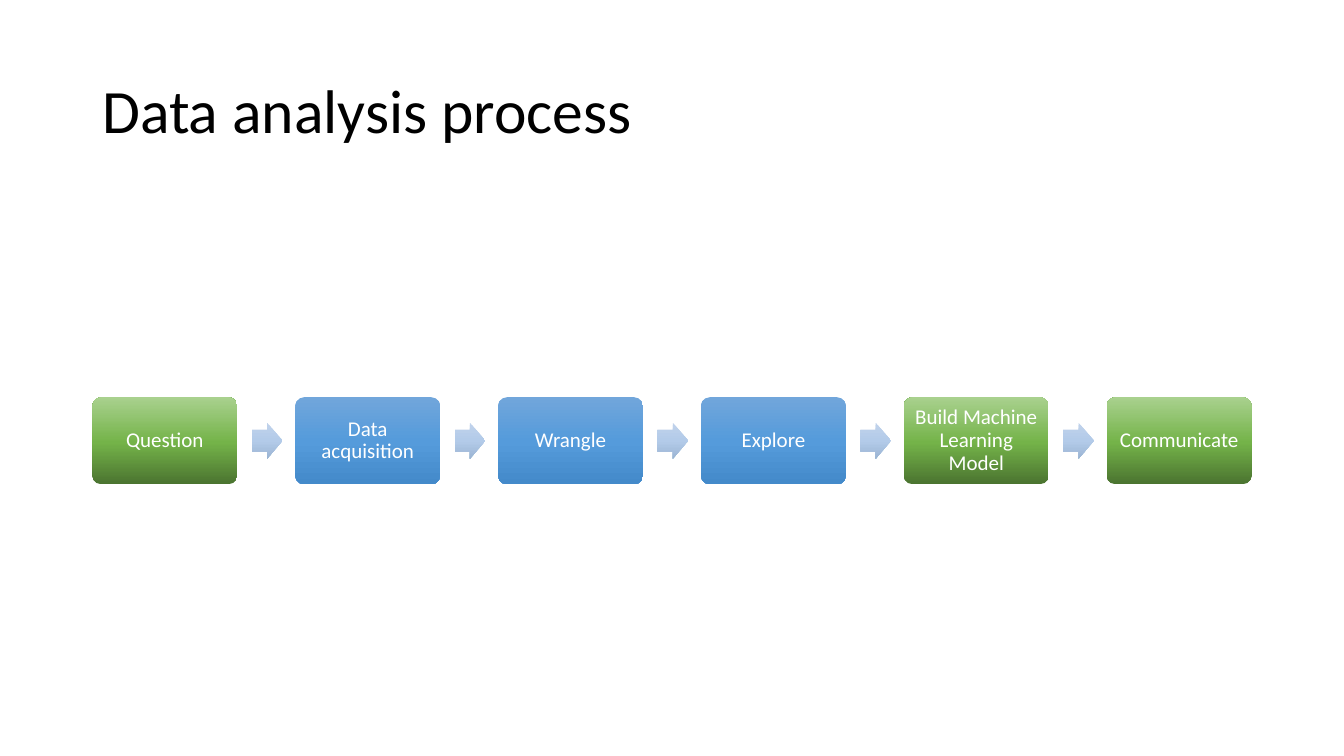
"""Build the data analysis process slide."""
import copy
from dataclasses import dataclass

import pptx
import pptx.dml.color
import pptx.enum.shapes
import pptx.enum.text
import pptx.shapes.autoshape
import pptx.slide
import pptx.util

Pt = pptx.util.Pt
RGBColor = pptx.dml.color.RGBColor
Preset = pptx.enum.shapes.MSO_SHAPE

BLACK = RGBColor(0x00, 0x00, 0x00)
WHITE = RGBColor(0xFF, 0xFF, 0xFF)
DARK_GREEN = RGBColor(0x4B, 0x74, 0x30)
GREEN = RGBColor(0x74, 0xB3, 0x49)
LIGHT_GREEN = RGBColor(0xA9, 0xD1, 0x8E)
LIGHT_BLUE = RGBColor(0x71, 0xA6, 0xDB)
BLUE = RGBColor(0x55, 0x9B, 0xDB)
DARK_BLUE = RGBColor(0x44, 0x8A, 0xCA)
PALE_BLUE = RGBColor(0xC0, 0xD2, 0xEB)
SOFT_BLUE = RGBColor(0xB3, 0xCB, 0xE9)
GREY_BLUE = RGBColor(0x9B, 0xB4, 0xD3)

FONT = "Calibri"
MARGIN = 66
CONTENT_WIDTH = 828
CENTER_Y = 314.8
STEP_WIDTH, STEP_HEIGHT = 103.5, 62.1
ARROW_WIDTH, ARROW_HEIGHT = 21.94, 25.67
ARROW_OFFSET = 113.85
STEP_INSET = 4.5


@dataclass(frozen=True)
class Gradient:
    colors: tuple[RGBColor, RGBColor, RGBColor]
    middle: float
    angle: float


@dataclass(frozen=True)
class Step:
    label: str
    gradient: Gradient


GREEN_FADE = Gradient((DARK_GREEN, GREEN, LIGHT_GREEN), 0.48, 90)
BLUE_FADE = Gradient((LIGHT_BLUE, BLUE, DARK_BLUE), 0.5, 270)
ARROW_FADE = Gradient((PALE_BLUE, SOFT_BLUE, GREY_BLUE), 0.5, 270)

STEPS = (
    Step("Question", GREEN_FADE),
    Step("Data acquisition", BLUE_FADE),
    Step("Wrangle", BLUE_FADE),
    Step("Explore", BLUE_FADE),
    Step("Build Machine Learning Model", GREEN_FADE),
    Step("Communicate", GREEN_FADE),
)


def apply_gradient(shape: pptx.shapes.autoshape.Shape, gradient: Gradient) -> None:
    shape.fill.gradient()
    shape.fill.gradient_angle = gradient.angle
    stop_list = shape.element.spPr.gradFill.gsLst
    stop_list.insert(1, copy.deepcopy(stop_list[0]))
    positions = (0, gradient.middle, 1)
    for stop, color, position in zip(shape.fill.gradient_stops, gradient.colors, positions):
        stop.color.rgb = color
        stop.position = position


def add_block(slide: pptx.slide.Slide, preset: Preset, left: float, width: float,
              height: float, gradient: Gradient) -> pptx.shapes.autoshape.Shape:
    block = slide.shapes.add_shape(
        preset, Pt(left), Pt(CENTER_Y - height / 2), Pt(width), Pt(height))
    block.shadow.inherit = False
    block.line.fill.background()
    apply_gradient(block, gradient)
    return block


def write_text(shape: pptx.shapes.autoshape.Shape, text: str, size: float,
               color: RGBColor, alignment: pptx.enum.text.PP_ALIGN) -> None:
    frame = shape.text_frame
    frame.word_wrap = True
    frame.vertical_anchor = pptx.enum.text.MSO_ANCHOR.MIDDLE
    paragraph = frame.paragraphs[0]
    paragraph.text = text
    paragraph.alignment = alignment
    paragraph.line_spacing = 0.9
    paragraph.font.name = FONT
    paragraph.font.size = Pt(size)
    paragraph.font.color.rgb = color


def add_step(slide: pptx.slide.Slide, step: Step, left: float) -> None:
    box = add_block(slide, Preset.ROUNDED_RECTANGLE, left, STEP_WIDTH, STEP_HEIGHT,
                    step.gradient)
    box.adjustments[0] = 0.1
    frame = box.text_frame
    frame.margin_left = frame.margin_right = Pt(STEP_INSET)
    frame.margin_top = frame.margin_bottom = Pt(STEP_INSET)
    write_text(box, step.label, 15, WHITE, pptx.enum.text.PP_ALIGN.CENTER)


def add_arrow(slide: pptx.slide.Slide, left: float) -> None:
    arrow = add_block(slide, Preset.RIGHT_ARROW, left, ARROW_WIDTH, ARROW_HEIGHT, ARROW_FADE)
    arrow.adjustments[0] = 0.6
    arrow.adjustments[1] = 0.5


def main() -> None:
    presentation = pptx.Presentation()
    presentation.slide_width = Pt(960)
    presentation.slide_height = Pt(540)
    slide = presentation.slides.add_slide(presentation.slide_layouts[6])

    title = slide.shapes.add_textbox(Pt(MARGIN), Pt(28.75), Pt(CONTENT_WIDTH), Pt(104.4))
    write_text(title, "Data analysis process", 44, BLACK, pptx.enum.text.PP_ALIGN.LEFT)

    pitch = (CONTENT_WIDTH - STEP_WIDTH) / (len(STEPS) - 1)
    for index, step in enumerate(STEPS):
        left = MARGIN + index * pitch
        if index:
            add_arrow(slide, left - pitch + ARROW_OFFSET)
        add_step(slide, step, left)

    presentation.save("out.pptx")


if __name__ == "__main__":
    main()
